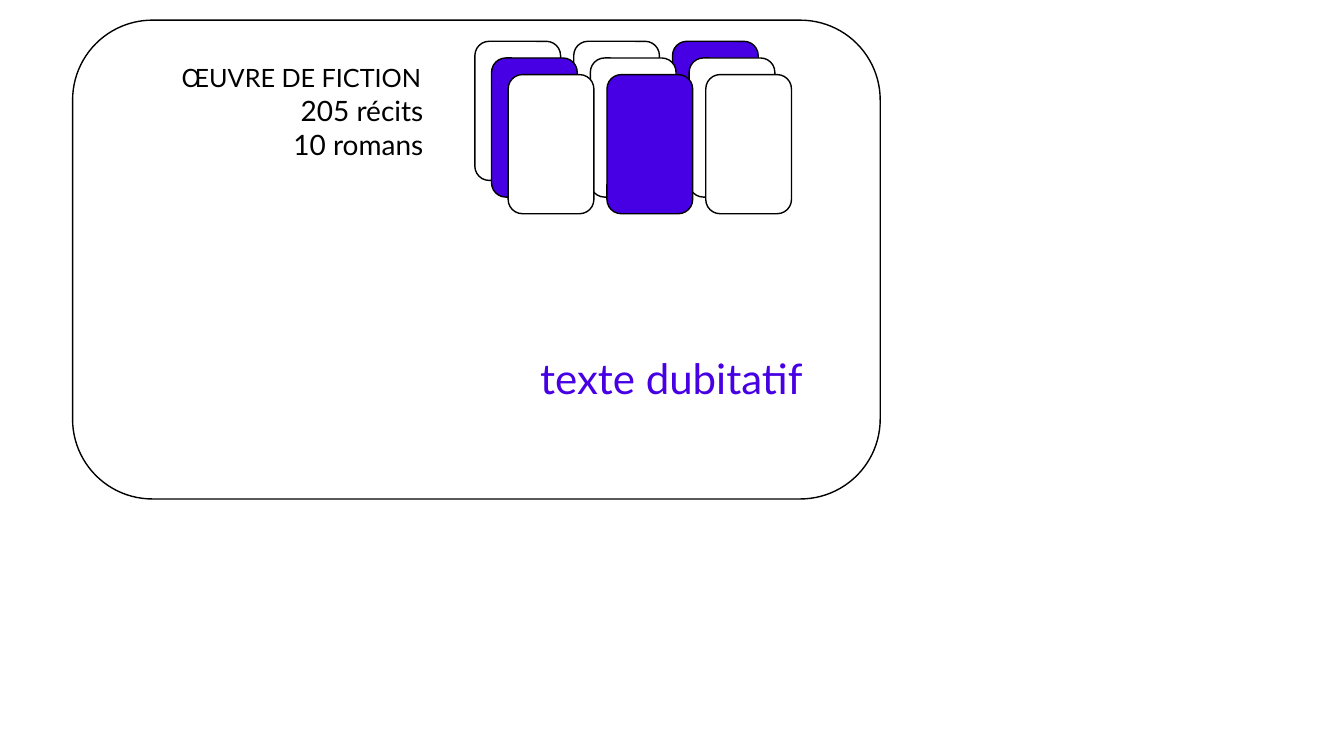
"""Build a slide showing piles of cards for a body of fiction and its doubtful texts."""
from dataclasses import dataclass

from lxml import etree
from pptx import Presentation
from pptx import util as u
from pptx.dml.color import RGBColor
from pptx.enum import shapes, text
from pptx.oxml.ns import qn


@dataclass(frozen=True)
class Theme:
    violet: RGBColor = RGBColor(0x47, 0x00, 0xE3)
    black: RGBColor = RGBColor(0, 0, 0)
    white: RGBColor = RGBColor(255, 255, 255)
    font: str = "Lato"
    heading: int = 18
    count: int = 20
    label: int = 30
    line: int = 1


theme = Theme()


def write(shape, box, lines, size, color, align):
    shape.left, shape.top, shape.width, shape.height = map(u.Inches, box)
    frame = shape.text_frame
    frame.text = "\n".join(lines)
    frame.word_wrap = True
    frame.auto_size = text.MSO_AUTO_SIZE.SHAPE_TO_FIT_TEXT
    frame.vertical_anchor = text.MSO_ANCHOR.TOP
    for paragraph in frame.paragraphs:
        paragraph.alignment = align
        paragraph.space_before = u.Pt(0)
        for run in paragraph.runs:
            run.font.name = theme.font
            run.font.size = u.Pt(size)
            run.font.color.rgb = color


def add_rounded(container, box, fill):
    shape = container.add_shape(shapes.MSO_SHAPE.ROUNDED_RECTANGLE, *map(u.Inches, box))
    shape.shadow.inherit = False
    shape.line.color.rgb = theme.black
    shape.line.width = u.Pt(theme.line)
    if fill is None:
        shape.fill.background()
    else:
        shape.fill.solid()
        shape.fill.fore_color.rgb = fill


presentation = Presentation()
presentation.slide_width = u.Inches(13.33)
presentation.slide_height = u.Inches(7.5)
slide = presentation.slides.add_slide(presentation.slide_layouts[1])

heading, counts = slide.shapes.title, slide.placeholders[1]
write(heading, (1.52, 0.57, 2.94, 0.4), ["ŒUVRE DE FICTION"],
      theme.heading, theme.black, text.PP_ALIGN.CENTER)
write(counts, (1.11, 0.88, 3.19, 0.77), ["205 récits", "10 romans"],
      theme.count, theme.black, text.PP_ALIGN.RIGHT)
for paragraph in counts.text_frame.paragraphs:
    properties = paragraph._p.get_or_add_pPr()
    properties.set("marL", "0")
    properties.set("indent", "0")
    etree.SubElement(properties, qn("a:buNone"))

label = slide.shapes.add_textbox(0, 0, 0, 0)
write(label, (5.13, 3.45, 3.06, 0.61), ["texte dubitatif"],
      theme.label, theme.violet, text.PP_ALIGN.CENTER)

add_rounded(slide.shapes, (0.72, 0.2, 8.01, 4.75), None)

card_width, card_height = 0.85, 1.38
piles_left, piles_top = 4.71, 0.41
pile_pitch, card_step = 0.98, 0.165
piles = [
    (2, (theme.violet, theme.white, theme.white)),
    (1, (None, theme.white, theme.violet)),
    (0, (None, theme.violet, theme.white)),
]
for column, fills in piles:
    pile = slide.shapes.add_group_shape()
    for depth, fill in enumerate(fills):
        left = piles_left + column * pile_pitch + depth * card_step
        top = piles_top + depth * card_step
        add_rounded(pile.shapes, (left, top, card_width, card_height), fill)

presentation.save("out.pptx")
